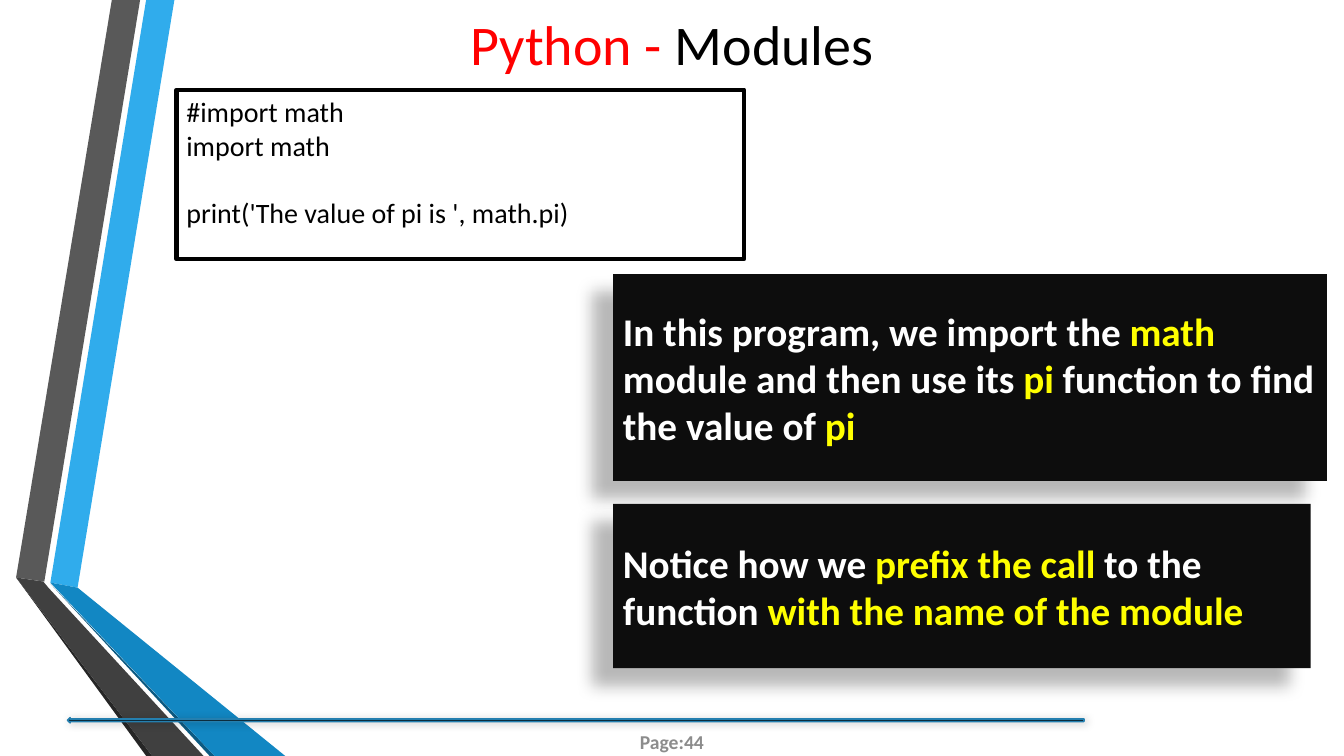
from dataclasses import dataclass

from lxml import etree
from pptx import Presentation
from pptx.dml.color import RGBColor
from pptx.enum.shapes import MSO_SHAPE
from pptx.enum.text import MSO_ANCHOR, PP_ALIGN
from pptx.oxml.ns import qn
from pptx.util import Inches, Pt

RECTANGLE = MSO_SHAPE.RECTANGLE
LEFT_ARROW = MSO_SHAPE.LEFT_ARROW
TOP, MIDDLE = MSO_ANCHOR.TOP, MSO_ANCHOR.MIDDLE
LEFT, CENTER = PP_ALIGN.LEFT, PP_ALIGN.CENTER


@dataclass(frozen=True)
class Theme:
    font: str = "Calibri"
    title_size: int = 40
    note_size: int = 28
    code_size: int = 20
    page_size: int = 14
    black: str = "000000"
    white: str = "FFFFFF"
    red: str = "FF0000"
    yellow: str = "FFFF00"
    panel: str = "0D0D0D"
    page: str = "8C8C8C"
    rule: str = "247FAF"
    blue: str = "30ACEC"
    mid_blue: str = "1287C3"
    deep_blue: str = "0C5A82"
    gray: str = "595959"
    mid_gray: str = "404040"
    deep_gray: str = "262626"


THEME = Theme()

RIBBON_FACETS = [
    (THEME.blue, [(0.34, 5.78), (0.61, 5.83), (1.57, 0), (1.29, 0)]),
    (THEME.gray, [(1.23, 0), (0.95, 0), (0, 5.73), (0.28, 5.77)]),
    (THEME.deep_gray, [(0, 5.73), (1.29, 7.5), (1.35, 7.5)]),
    (THEME.deep_blue, [(0.34, 5.79), (1.92, 7.5), (1.97, 7.5)]),
    (THEME.mid_blue, [(0.34, 5.78), (1.97, 7.5), (2.67, 7.5), (0.61, 5.83)]),
    (THEME.mid_gray, [(1.86, 7.5), (0.32, 5.83), (0.27, 5.77), (0, 5.73), (1.35, 7.5)]),
]

CODE_LINES = ["#import math", "import math", "", "print('The value of pi is ', math.pi)"]

IMPORT_NOTE = [
    ("In this program, we import the ", THEME.white),
    ("math", THEME.yellow),
    (" module and then use its ", THEME.white),
    ("pi", THEME.yellow),
    (" function to find the value of ", THEME.white),
    ("pi", THEME.yellow),
]

PREFIX_NOTE = [
    ("Notice how we ", THEME.white),
    ("prefix the call ", THEME.yellow),
    ("to the function ", THEME.white),
    ("with the name of the module", THEME.yellow),
]


def paint(fill, color):
    fill.solid()
    fill.fore_color.rgb = RGBColor.from_string(color)


def cast_shadow(shape, alpha, blur, distance, angle):
    shape.shadow.inherit = False
    effects = shape._element.spPr.find(qn("a:effectLst"))
    shadow = etree.SubElement(
        effects, qn("a:outerShdw"), blurRad=str(Pt(blur)), dist=str(Pt(distance)),
        dir=str(angle * 60000), algn="ctr", rotWithShape="0")
    color = etree.SubElement(shadow, qn("a:srgbClr"), val=THEME.black)
    etree.SubElement(color, qn("a:alpha"), val=str(alpha * 1000))


def write_line(paragraph, pieces, size, bold=False, align=LEFT):
    paragraph.alignment = align
    for text, color in pieces:
        run = paragraph.add_run()
        run.text = text
        run.font.name = THEME.font
        run.font.size = Pt(size)
        run.font.bold = bold
        run.font.color.rgb = RGBColor.from_string(color)


def add_caption(slide, box, pieces, size, bold=False):
    frame = slide.shapes.add_textbox(*map(Inches, box)).text_frame
    frame.word_wrap = True
    frame.vertical_anchor = MIDDLE
    frame.margin_top = frame.margin_bottom = Inches(0.02)
    write_line(frame.paragraphs[0], pieces, size, bold, CENTER)


def add_ribbon(slide, left, top):
    ribbon = slide.shapes.add_group_shape()
    for color, corners in RIBBON_FACETS:
        start, *rest = [(Inches(left + x), Inches(top + y)) for x, y in corners]
        outline = ribbon.shapes.build_freeform(*start)
        outline.add_line_segments(rest, close=True)
        facet = outline.convert_to_shape()
        facet.shadow.inherit = False
        paint(facet.fill, color)
        facet.line.fill.background()


def add_footer(slide, left, top):
    add_caption(slide, (left + 5.11, top + 0.04, 1.77, 0.4),
                [("Page:44", THEME.page)], THEME.page_size, bold=True)
    rule = slide.shapes.add_shape(
        LEFT_ARROW, *map(Inches, (left, top, 10.08, 0.05)))
    paint(rule.fill, THEME.black)
    paint(rule.line.fill, THEME.rule)
    rule.line.width = Pt(1.25)
    cast_shadow(rule, alpha=20, blur=6, distance=1, angle=45)


def add_code(slide, box):
    listing = slide.shapes.add_shape(RECTANGLE, *map(Inches, box))
    listing.shadow.inherit = False
    listing.fill.background()
    paint(listing.line.fill, THEME.black)
    listing.line.width = Pt(3)
    frame = listing.text_frame
    frame.word_wrap = True
    frame.vertical_anchor = TOP
    for index, code in enumerate(CODE_LINES):
        paragraph = frame.add_paragraph() if index else frame.paragraphs[0]
        if code:
            write_line(paragraph, [(code, THEME.black)], THEME.code_size)
        else:
            paragraph.line_spacing = Pt(THEME.code_size * 1.2)


def add_note(slide, box, pieces):
    note = slide.shapes.add_shape(RECTANGLE, *map(Inches, box))
    paint(note.fill, THEME.panel)
    note.line.fill.background()
    cast_shadow(note, alpha=28, blur=11.8, distance=19.7, angle=141)
    frame = note.text_frame
    frame.word_wrap = True
    frame.vertical_anchor = MIDDLE
    write_line(frame.paragraphs[0], pieces, THEME.note_size, bold=True)


def main():
    deck = Presentation()
    deck.slide_width, deck.slide_height = Inches(13.33), Inches(7.5)
    slide = deck.slides.add_slide(deck.slide_layouts[6])
    paint(slide.background.fill, THEME.white)
    add_ribbon(slide, 0.16, 0)
    add_footer(slide, 0.67, 7.12)
    add_caption(slide, (0, 0, 13.33, 0.86),
                [("Python - ", THEME.red), ("Modules", THEME.black)], THEME.title_size)
    add_note(slide, (6.08, 2.72, 7.08, 2.05), IMPORT_NOTE)
    add_code(slide, (1.75, 0.89, 5.63, 1.68))
    add_note(slide, (6.08, 5, 6.92, 1.63), PREFIX_NOTE)
    deck.save("out.pptx")


if __name__ == "__main__":
    main()
